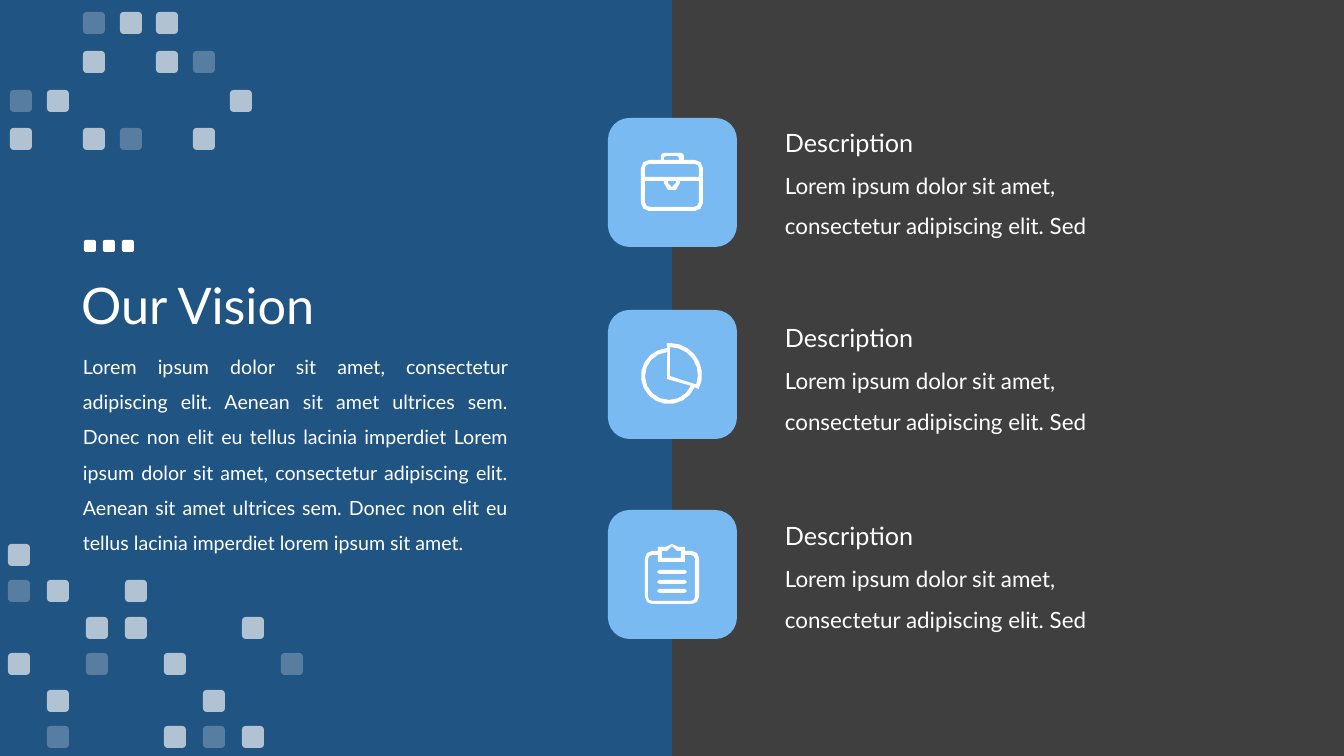
from math import cos, radians, sin

from lxml.etree import SubElement
from pptx import Presentation
from pptx.dml.color import RGBColor
from pptx.enum.shapes import MSO_SHAPE
from pptx.enum.text import MSO_ANCHOR, MSO_AUTO_SIZE, PP_ALIGN
from pptx.oxml.ns import qn
from pptx.util import Pt

PX = 9071
WHITE = "FFFFFF"


def paint(shape, color, opacity=100):
    shape.shadow.inherit = False
    shape.line.fill.background()
    shape.fill.solid()
    shape.fill.fore_color.rgb = RGBColor.from_string(color)
    if opacity < 100:
        color_element = shape.element.spPr.find(qn("a:solidFill"))[0]
        SubElement(color_element, qn("a:alpha"), val=str(opacity * 1000))


def write(shape, text, size, spacing=1.0, align=PP_ALIGN.LEFT,
          anchor=MSO_ANCHOR.TOP, fit=MSO_AUTO_SIZE.SHAPE_TO_FIT_TEXT):
    frame = shape.text_frame
    frame.word_wrap = True
    frame.auto_size = fit
    frame.vertical_anchor = anchor
    frame.text = text
    paragraph = frame.paragraphs[0]
    paragraph.alignment = align
    paragraph.line_spacing = spacing
    font = paragraph.runs[0].font
    font.name = "Lato"
    font.size = Pt(size)
    font.color.rgb = RGBColor.from_string(WHITE)


presentation = Presentation()
presentation.slide_width = 1344 * PX
presentation.slide_height = 756 * PX
slide = presentation.slides.add_slide(presentation.slide_layouts[5])
shapes = slide.shapes
background = slide.background.fill
background.solid()
background.fore_color.rgb = RGBColor.from_string("3F3F3F")

panel = shapes.add_shape(MSO_SHAPE.RECTANGLE, 0, 0, 672 * PX, 756 * PX)
paint(panel, "1060A6", 65)

title = shapes.title
title.left, title.top, title.width, title.height = 71 * PX, 224 * PX, 1159 * PX, 168 * PX
write(title, "Our Vision", 36, spacing=0.9, anchor=MSO_ANCHOR.MIDDLE, fit=MSO_AUTO_SIZE.NONE)
title.element.addprevious(panel.element)

vision = shapes.add_textbox(73 * PX, 338 * PX, 445 * PX, 219 * PX)
write(vision, "Lorem ipsum dolor sit amet, consectetur adipiscing elit. "
      "Aenean sit amet ultrices sem. Donec non elit eu tellus lacinia imperdiet "
      "Lorem ipsum dolor sit amet, consectetur adipiscing elit. "
      "Aenean sit amet ultrices sem. Donec non elit eu tellus lacinia imperdiet "
      "lorem ipsum sit amet.", 14, spacing=1.5, align=PP_ALIGN.JUSTIFY)

card_rows = [(118, 154, 122), (310, 349, 317), (510, 547, 515)]
for card_top, body_top, heading_top in card_rows:
    card = shapes.add_shape(MSO_SHAPE.ROUNDED_RECTANGLE,
                            608 * PX, card_top * PX, 129 * PX, 129 * PX)
    paint(card, "7ABAF2")
for card_top, body_top, heading_top in card_rows:
    body = shapes.add_textbox(775 * PX, body_top * PX, 401 * PX, 87 * PX)
    write(body, "Lorem ipsum dolor sit amet, consectetur adipiscing elit. Sed", 16, spacing=1.5)
    heading = shapes.add_textbox(775 * PX, heading_top * PX, 237 * PX, 40 * PX)
    write(heading, "Description", 18)

opacities = {"#": 100, "l": 65, "d": 25}
mosaics = [
    (84, 240, 19, 0, 12, ["###"]),
    (8, 544, 39, 36.4, 22,
     ["l.......", "dl.l....", "..ll..l.", "l.d.l..d", ".l...l..", ".d..ldl."]),
    (10, 12, 36.6, 38.8, 22, ["..dll..", "..l.ld.", "dl....l", "l.ld.l."]),
]
for left, top, column_step, row_step, size, rows in mosaics:
    mosaic = shapes.add_group_shape()
    for row, marks in enumerate(rows):
        for column, mark in enumerate(marks):
            if mark in opacities:
                tile = mosaic.shapes.add_shape(
                    MSO_SHAPE.ROUNDED_RECTANGLE,
                    round(left + column * column_step) * PX,
                    round(top + row * row_step) * PX, size * PX, size * PX)
                paint(tile, WHITE, opacities[mark])

briefcase = [
    [(649, 168, 8, 180, 270), (661, 160), (664, 156, 3, 180, 270), (681, 156, 3, 270, 360),
     (684, 160), (695, 168, 8, 270, 360), (695, 203, 8, 0, 90), (649, 203, 8, 90, 180)],
    [(664, 160), (666, 158, 2, 180, 270), (677, 158, 2, 270, 360), (679, 160)],
    [(645, 177), (649, 168, 4, 180, 270), (695, 168, 4, 270, 360), (699, 177)],
    [(645, 181), (664, 181), (672, 183, 8, 180, 0), (680, 181), (699, 181),
     (694, 202, 5, 0, 90), (650, 202, 5, 90, 180)],
    [(668, 181), (676, 181), (672, 183, 4, 0, 180)],
]
pie = [
    [(667, 343), (670, 375, 32, 270, 386), (694, 387), (669, 376, 28, 24, 266)],
    [(667, 379), (669, 376, 24, 24, 266)],
    [(670, 376), (670, 375, 28, 270, 380)],
]
clipboard = [
    [(652, 558, 7, 180, 270), (658, 551), (658, 547), (672, 552, 8, 220, 320), (685, 547),
     (685, 551), (692, 558, 7, 270, 360), (692, 597, 7, 0, 90), (652, 597, 7, 90, 180)],
    [(652, 559, 4, 180, 270), (658, 555), (658, 562), (685, 562), (685, 555),
     (691, 559, 4, 270, 360), (691, 597, 4, 0, 90), (652, 597, 4, 90, 180)],
    [(662, 551), (672, 551, 5, 180, 360), (681, 551), (681, 558), (662, 558)],
]
for line_y in (572, 582, 591):
    clipboard.append([(659, line_y, 2, 90, 270), (685, line_y, 2, 270, 450)])

for icon in (briefcase, pie, clipboard):
    builder = None
    for outline in icon:
        points = []
        for x, y, *arc in outline:
            radius, start, end = arc or (0, 0, 0)
            steps = max(2, round(radius * abs(end - start) / 540)) if arc else 0
            for step in range(steps + 1):
                angle = radians(start + (end - start) * step / max(steps, 1))
                points.append(((x + radius * cos(angle)) * PX, (y + radius * sin(angle)) * PX))
        if builder is None:
            builder = shapes.build_freeform(*points[0])
        else:
            builder.move_to(*points[0])
        builder.add_line_segments(points[1:], close=True)
    paint(builder.convert_to_shape(), WHITE)

presentation.save("out.pptx")
